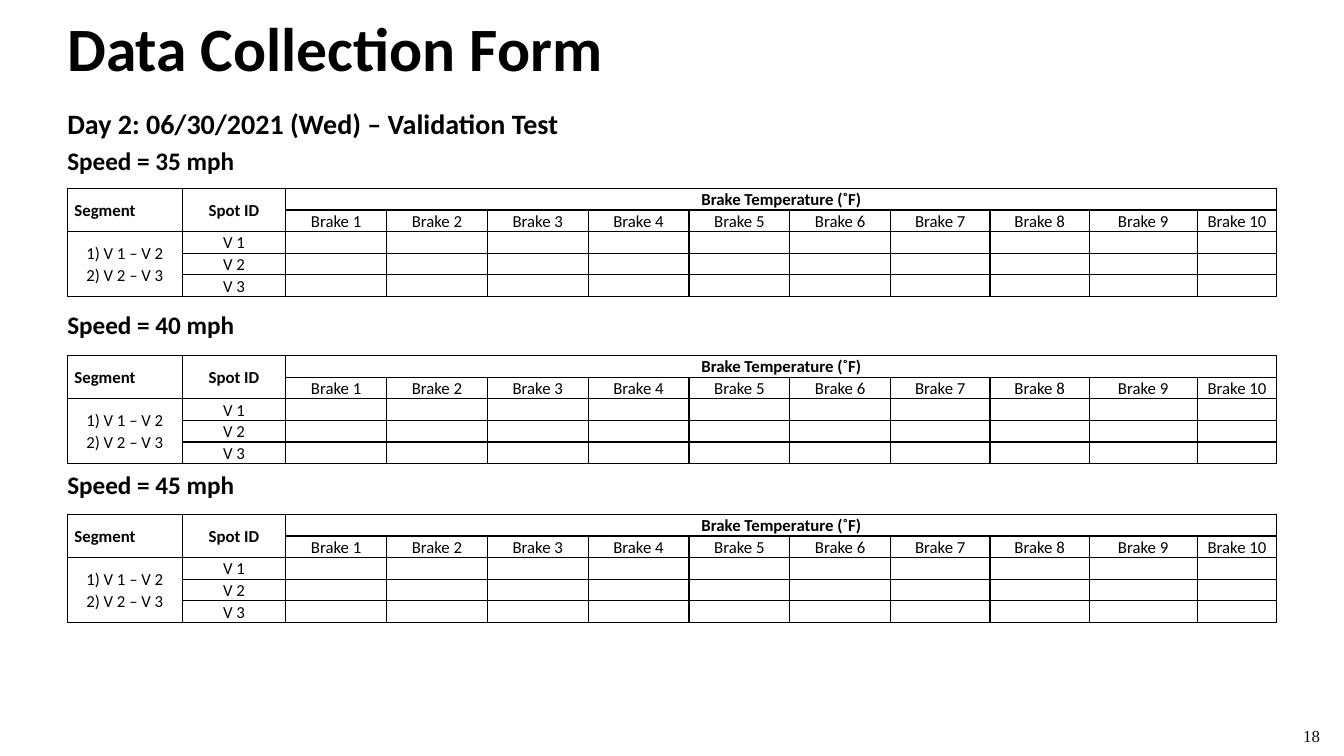
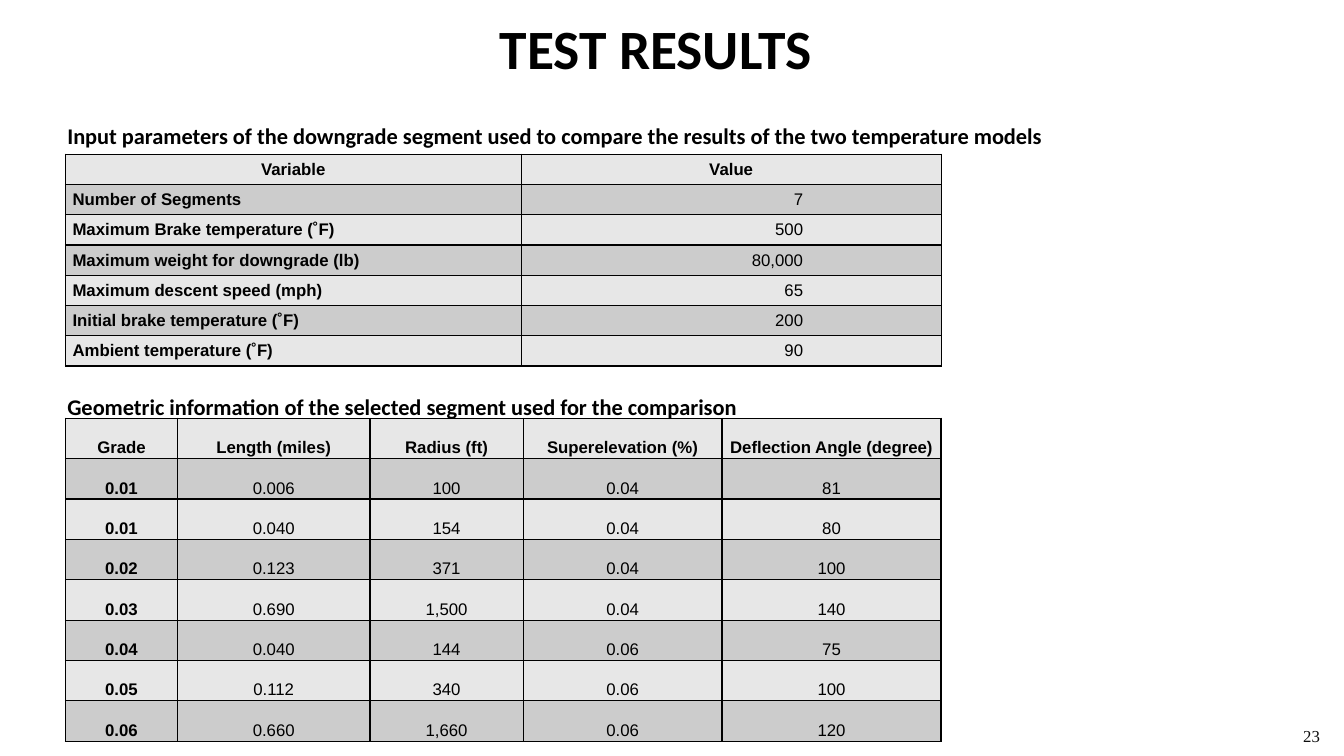
from lxml import etree
from pptx import Presentation
from pptx.dml.color import RGBColor
from pptx.enum.text import MSO_ANCHOR, PP_ALIGN
from pptx.oxml.ns import qn
from pptx.util import Pt

LEFT, CENTER, RIGHT = PP_ALIGN.LEFT, PP_ALIGN.CENTER, PP_ALIGN.RIGHT
TOP, MIDDLE = MSO_ANCHOR.TOP, MSO_ANCHOR.MIDDLE
SLIDE_WIDTH, SLIDE_HEIGHT = 960, 540
BLACK, PAGE_GREY, LIGHT_BAND, DARK_BAND = "000000", "0D0D0D", "E7E7E7", "CCCCCC"
HEADING_FONT, RESULT_FONT, PAGE_FONT = "Calibri", "Arial", "Times New Roman"
TEXT_LEFT, TEXT_WIDTH = 41, 864
CELL_INSET = 5
BORDER_WIDTH = 1

FORM_WIDTHS = [82, 74] + [72] * 6 + [71, 71, 77, 57]
FORM_ROW_HEIGHT = 15.4
BRAKES = [f"Brake {number}" for number in range(1, 11)]
FORM_ROWS = [
    ["Segment", "Spot ID", "Brake Temperature (˚F)"] + [""] * 9,
    ["", ""] + BRAKES,
    ["1) V 1 – V 2\n2) V 2 – V 3", "V 1"] + [""] * 10,
    ["", "V 2"] + [""] * 10,
    ["", "V 3"] + [""] * 10,
]
FORM_SPANS = [(0, 0, 1, 0), (0, 1, 1, 1), (0, 2, 0, 11), (2, 0, 4, 0)]

PARAMETER_ROWS = [
    ("Variable", "Value"),
    ("Number of Segments", "7"),
    ("Maximum Brake temperature (˚F)", "500"),
    ("Maximum weight for downgrade (lb)", "80,000"),
    ("Maximum descent speed (mph)", "65"),
    ("Initial brake temperature (˚F)", "200"),
    ("Ambient temperature (˚F)", "90"),
]
GEOMETRY_ROWS = [
    ("Grade", "Length (miles)", "Radius (ft)", "Superelevation (%)", "Deflection Angle (degree)"),
    ("0.01", "0.006", "100", "0.04", "81"),
    ("0.01", "0.040", "154", "0.04", "80"),
    ("0.02", "0.123", "371", "0.04", "100"),
    ("0.03", "0.690", "1,500", "0.04", "140"),
    ("0.04", "0.040", "144", "0.06", "75"),
    ("0.05", "0.112", "340", "0.06", "100"),
    ("0.06", "0.660", "1,660", "0.06", "120"),
]


def rgb(code):
    """Turn a hex string into a colour."""
    return RGBColor.from_string(code)


def write(frame, text, *, size=12, font=HEADING_FONT, color=BLACK, bold=False,
          align=LEFT, spacing=None, before=0, after=0, append=False):
    """Write each line of the text as a formatted paragraph."""
    for index, line in enumerate(text.split("\n")):
        paragraph = frame.add_paragraph() if append or index else frame.paragraphs[0]
        paragraph.alignment = align
        if spacing:
            paragraph.line_spacing = spacing
        if before:
            paragraph.space_before = Pt(before)
        if after:
            paragraph.space_after = Pt(after)
        if line:
            run = paragraph.add_run()
            run.text = line
            run.font.size, run.font.name, run.font.bold = Pt(size), font, bold
            run.font.color.rgb = rgb(color)
        else:
            etree.SubElement(paragraph._p, qn("a:endParaRPr"), sz=str(size * 100))


def add_text(slide, box, text, anchor=TOP, **style):
    """Place a wrapping text box and return its frame."""
    frame = slide.shapes.add_textbox(*map(Pt, box)).text_frame
    frame.word_wrap = True
    frame.vertical_anchor = anchor
    write(frame, text, **style)
    return frame


def add_borders(cell):
    """Draw a black line on all four sides of a cell."""
    properties = cell._tc.get_or_add_tcPr()
    for index, side in enumerate(("lnL", "lnR", "lnT", "lnB")):
        line = etree.Element(qn(f"a:{side}"), w=str(Pt(BORDER_WIDTH)))
        fill = etree.SubElement(line, qn("a:solidFill"))
        etree.SubElement(fill, qn("a:srgbClr"), val=BLACK)
        properties.insert(index, line)


def add_grid(slide, left, top, widths, row_height, rows, style_of, bands=None):
    """Place a bordered table whose cell format comes from style_of(row, column)."""
    table = slide.shapes.add_table(
        len(rows), len(widths), Pt(left), Pt(top),
        Pt(sum(widths)), Pt(row_height * len(rows))).table
    table.first_row = table.horz_banding = False
    for column, width in zip(table.columns, widths):
        column.width = Pt(width)
    for row_index, texts in enumerate(rows):
        table.rows[row_index].height = Pt(row_height)
        for column_index, text in enumerate(texts):
            cell = table.cell(row_index, column_index)
            cell.vertical_anchor = MIDDLE
            cell.margin_left = cell.margin_right = Pt(CELL_INSET)
            cell.margin_top = cell.margin_bottom = 0
            if bands:
                cell.fill.solid()
                cell.fill.fore_color.rgb = rgb(bands[row_index % len(bands)])
            else:
                cell.fill.background()
            add_borders(cell)
            write(cell.text_frame, text, **style_of(row_index, column_index))
    return table


def add_frame(deck, title, page, **title_style):
    """Add a slide with its title and page number."""
    slide = deck.slides.add_slide(deck.slide_layouts[6])
    add_text(slide, (TEXT_LEFT, 0, TEXT_WIDTH, 67), title, MIDDLE, bold=True, **title_style)
    add_text(slide, (923.8, 514.8, 36, 25), page, font=PAGE_FONT, color=PAGE_GREY)
    return slide


def form_style(row, column):
    """Format of a data collection cell."""
    return {"bold": row == 0, "align": CENTER if row or column else LEFT, "spacing": 1.07}


def add_form(slide, left, top):
    """Place one empty brake temperature form."""
    table = add_grid(slide, left, top, FORM_WIDTHS, FORM_ROW_HEIGHT, FORM_ROWS, form_style)
    for first_row, first_column, last_row, last_column in FORM_SPANS:
        table.cell(first_row, first_column).merge(table.cell(last_row, last_column))


def parameter_style(row, column):
    """Format of an input parameter cell."""
    align = CENTER if row == 0 else (LEFT, RIGHT)[column]
    return {"font": RESULT_FONT, "bold": row == 0 or column == 0, "align": align}


def add_parameters(slide, left, top):
    """Place the table of input parameters."""
    table = add_grid(slide, left, top, [325.5, 300], 21.6, PARAMETER_ROWS,
                     parameter_style, (LIGHT_BAND, DARK_BAND))
    for row in range(1, len(PARAMETER_ROWS)):
        table.cell(row, 1).margin_right = Pt(98.6)


def geometry_style(row, column):
    """Format of a segment geometry cell."""
    return {"font": RESULT_FONT, "bold": row == 0 or column == 0,
            "align": CENTER, "spacing": 2.0}


def add_geometry(slide, left, top):
    """Place the table of segment geometry."""
    add_grid(slide, left, top, [80, 137.5, 109.5, 142, 156.5], 28.8, GEOMETRY_ROWS,
             geometry_style, (LIGHT_BAND, DARK_BAND))


def build_form_slide(deck):
    """Build the slide with one form for each speed."""
    slide = add_frame(deck, "Data Collection Form", "18", size=44)
    heading = add_text(slide, (TEXT_LEFT, 72.7, TEXT_WIDTH, 62),
                       "Day 2: 06/30/2021 (Wed) – Validation Test", size=20, bold=True)
    speed_style = {"size": 18, "bold": True}
    write(heading, "Speed = 35 mph", before=3.6, append=True, **speed_style)
    for speed, label_top in ((40, 217.4), (45, 332)):
        add_text(slide, (TEXT_LEFT, label_top, TEXT_WIDTH, 31.7),
                 f"Speed = {speed} mph", **speed_style)
    for form_top in (134.6, 254, 367.4):
        add_form(slide, 48.2, form_top)


def build_results_slide(deck):
    """Build the slide with the inputs of the comparison."""
    slide = add_frame(deck, "TEST RESULTS ", "23", size=39.6, align=CENTER)
    captions = (
        (64.8, "Input parameters of the downgrade segment used to compare "
               "the results of the two temperature models"),
        (257.8, "Geometric information of the selected segment used for the comparison"),
    )
    for caption_top, caption in captions:
        add_text(slide, (TEXT_LEFT, caption_top, 840, 46), caption,
                 size=16, bold=True, spacing=2.0, after=8)
    add_parameters(slide, 46.8, 110.2)
    add_geometry(slide, 46.8, 298.8)


def main():
    """Build and save the presentation."""
    deck = Presentation()
    deck.slide_width, deck.slide_height = Pt(SLIDE_WIDTH), Pt(SLIDE_HEIGHT)
    build_form_slide(deck)
    build_results_slide(deck)
    deck.save("out.pptx")


if __name__ == "__main__":
    main()
